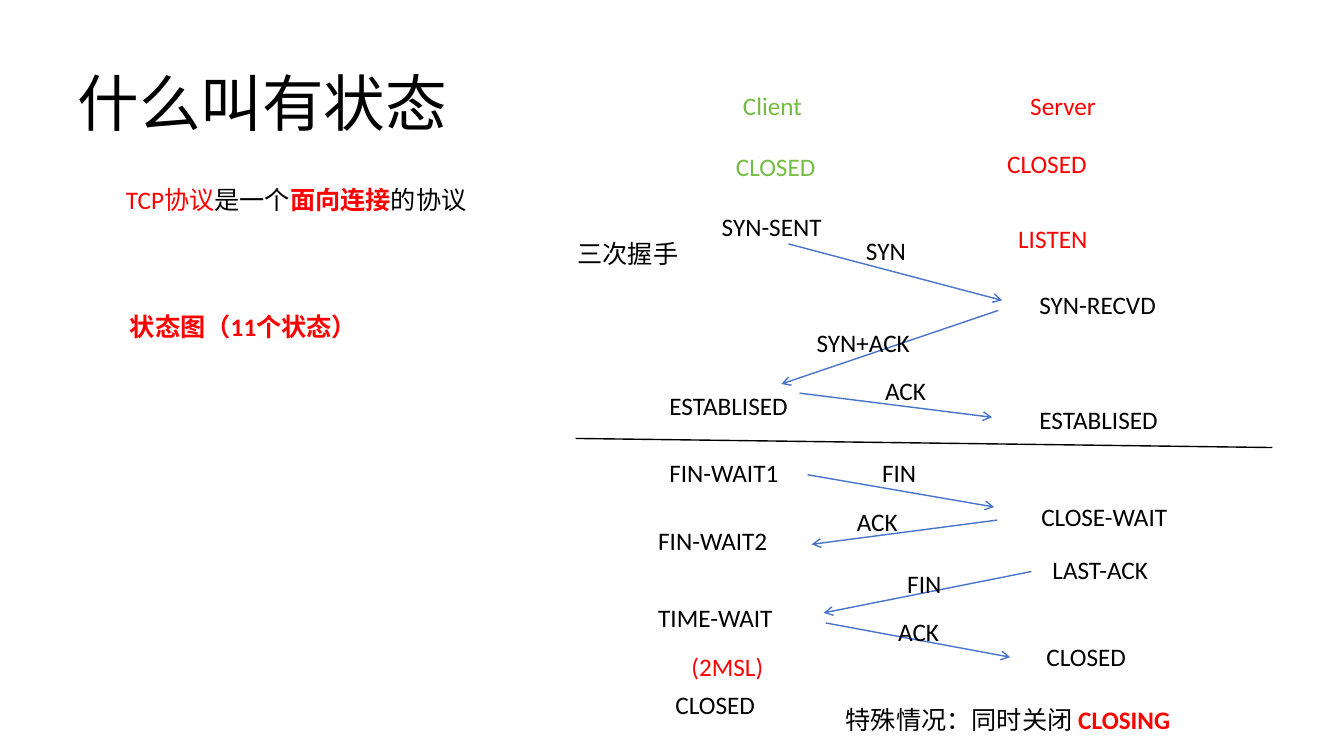
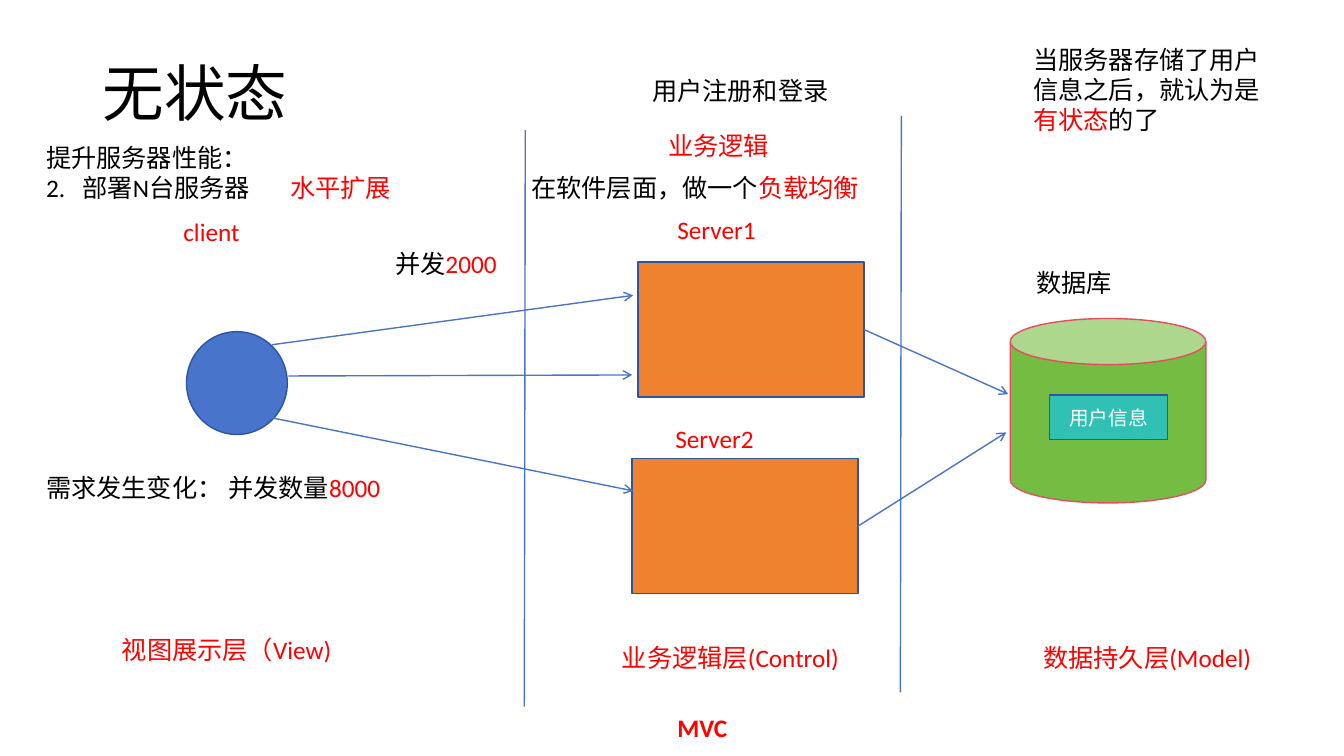
from dataclasses import dataclass

from lxml import etree
from pptx import Presentation
from pptx.dml.color import RGBColor
from pptx.enum.shapes import MSO_CONNECTOR, MSO_SHAPE
from pptx.enum.text import MSO_ANCHOR, MSO_AUTO_SIZE, PP_ALIGN
from pptx.oxml.ns import qn
from pptx.util import Inches, Pt

STRAIGHT = MSO_CONNECTOR.STRAIGHT
RECT, OVAL, CAN = MSO_SHAPE.RECTANGLE, MSO_SHAPE.OVAL, MSO_SHAPE.CAN
MIDDLE = MSO_ANCHOR.MIDDLE
GROW = MSO_AUTO_SIZE.SHAPE_TO_FIT_TEXT
CENTER = PP_ALIGN.CENTER
RIGHT_SIDE = 3


@dataclass(frozen=True)
class Theme:
    font: str = "Calibri"
    title_size: int = 44
    body_size: int = 18
    small_size: int = 14
    line_width: int = 1
    black: str = "000000"
    white: str = "FFFFFF"
    red: str = "FF0000"
    green: str = "75BD42"
    blue: str = "4874CB"
    navy: str = "2E54A1"
    orange: str = "EE822F"
    teal: str = "30C0B4"
    rose: str = "E54C5E"


T = Theme()


class Deck:
    def __init__(self):
        self.prs = Presentation()
        self.prs.slide_width, self.prs.slide_height = Inches(13.33), Inches(7.5)
        self.s = None

    def slide(self):
        self.s = self.prs.slides.add_slide(self.prs.slide_layouts[6])

    def add_runs(self, p, runs, size=T.body_size, color=T.black):
        """Each run is a string, or a tuple of text, colour and bold."""
        for run in runs:
            text, run_color, bold = run if isinstance(run, tuple) else (run, color, False)
            r = p.add_run()
            r.text = text
            values = {"name": T.font, "size": Pt(size), "bold": bold}
            for key, value in values.items():
                setattr(r.font, key, value)
            r.font.color.rgb = RGBColor.from_string(run_color)

    def box(self, x, y, w, h, **frame):
        sp = self.s.shapes.add_textbox(*map(Inches, (x, y, w, h)))
        tf = sp.text_frame
        for key, value in {"word_wrap": True, **frame}.items():
            setattr(tf, key, value)
        return tf

    def title(self, x, y, w, h, text):
        p = self.box(x, y, w, h, vertical_anchor=MIDDLE).paragraphs[0]
        p.line_spacing = 0.9
        self.add_runs(p, [text], T.title_size)

    def text(self, x, y, w, *runs, h=0.4, color=T.black):
        tf = self.box(x, y, w, h, auto_size=GROW)
        self.add_runs(tf.paragraphs[0], runs, color=color)
        return tf

    def labels(self, color, *rows):
        for x, y, w, text in rows:
            self.text(x, y, w, text, color=color)

    def tabs(self, p, *stops):
        tab_list = etree.SubElement(p._p.get_or_add_pPr(), qn("a:tabLst"))
        for stop in stops:
            etree.SubElement(tab_list, qn("a:tab"), pos=str(Inches(stop)), algn="l")

    def shape(self, kind, x, y, w, h, fill, line=T.navy, text=None):
        sp = self.s.shapes.add_shape(kind, *map(Inches, (x, y, w, h)))
        sp.shadow.inherit = False
        sp.fill.solid()
        sp.fill.fore_color.rgb = RGBColor.from_string(fill)
        sp.line.color.rgb = RGBColor.from_string(line)
        sp.line.width = Pt(T.line_width)
        if text:
            sp.text_frame.vertical_anchor = MIDDLE
            p = sp.text_frame.paragraphs[0]
            p.alignment = CENTER
            self.add_runs(p, [text], T.small_size, T.white)
        return sp

    def line(self, x1, y1, x2, y2, color=T.blue, arrow=False):
        cx = self.s.shapes.add_connector(STRAIGHT, *map(Inches, (x1, y1, x2, y2)))
        cx.line.color.rgb = RGBColor.from_string(color)
        cx.line.width = Pt(T.line_width)
        sp_pr = cx._element.spPr
        if arrow:
            etree.SubElement(sp_pr.get_or_add_ln(), qn("a:tailEnd"), type="arrow")
        etree.SubElement(sp_pr, qn("a:effectLst"))
        return cx

    def arrows(self, *ends):
        for end in ends:
            self.line(*end, arrow=True)


def stateful(d):
    d.slide()
    d.title(0.67, 0.67, 12, 0.77, "什么叫有状态")
    d.text(1.15, 1.78, 4.71, ("TCP协议", T.red, False), "是一个",
           ("面向连接", T.red, True), "的协议")
    d.text(1.19, 3.04, 2.98, ("状态图（11个状态）", T.red, True))

    d.arrows(
        (7.82, 2.42, 9.94, 2.98), (9.9, 3.08, 7.75, 3.81), (7.93, 3.9, 9.84, 4.14),
        (8.01, 4.71, 9.86, 5.03), (9.89, 5.16, 8.05, 5.4),
        (10.23, 5.67, 8.17, 6.08), (8.19, 6.18, 10.02, 6.52),
    )
    d.labels(T.green, (7.27, 0.85, 1.46, "Client"), (7.2, 1.45, 1.82, "CLOSED"))
    d.labels(
        T.red,
        (10.12, 0.85, 2.1, "Server"),
        (9.89, 1.42, 2.12, "CLOSED"),
        (10, 2.17, 1.11, "LISTEN"),
        (6.76, 6.41, 1.02, "(2MSL)"),
    )
    client_states = (
        (7.06, 2.05, 1.63, "SYN-SENT"),
        (6.54, 3.82, 1.89, "ESTABLISED"),
        (6.54, 4.49, 1.77, "FIN-WAIT1"),
        (6.43, 5.16, 1.47, "FIN-WAIT2"),
        (6.43, 5.93, 1.64, "TIME-WAIT"),
        (6.6, 6.79, 1.41, "CLOSED"),
    )
    server_states = (
        (10.21, 2.82, 2.09, "SYN-RECVD"),
        (10.21, 3.96, 1.89, "ESTABLISED"),
        (10.23, 4.92, 2.23, "CLOSE-WAIT"),
        (10.34, 5.45, 1.77, "LAST-ACK"),
        (10.28, 6.31, 1.79, "CLOSED"),
    )
    messages = (
        (8.49, 2.29, 0.91, "SYN"),
        (8, 3.2, 1.48, "SYN+ACK"),
        (8.68, 3.67, 0.85, "ACK"),
        (8.65, 4.49, 0.88, "FIN"),
        (8.4, 4.97, 0.8, "ACK"),
        (8.9, 5.59, 1.1, "FIN"),
        (8.81, 6.07, 1.13, "ACK"),
    )
    d.labels(T.black, (5.63, 2.32, 1.28, "三次握手"),
             *client_states, *server_states, *messages)
    d.text(8.29, 6.94, 4.3, "特殊情况：同时关闭 ", ("CLOSING", T.red, True))
    d.line(5.71, 4.35, 12.62, 4.44, T.black)


def stateless(d):
    d.slide()
    d.title(0.92, 0.23, 11.5, 1.45, "无状态")
    d.shape(CAN, 10.02, 3.16, 1.94, 1.83, T.green, T.rose)
    d.shape(RECT, 10.41, 3.92, 1.17, 0.44, T.teal, text="用户信息")
    d.shape(OVAL, 1.85, 3.29, 1, 1.02, T.blue)
    server1, server2 = (d.shape(RECT, x, y, 2.24, 1.34, T.orange)
                        for x, y in ((6.33, 2.6), (6.27, 4.55)))

    d.line(8.94, 1.15, 8.93, 6.87)
    d.line(5.21, 1.29, 5.2, 7.01)
    d.arrows((2.7, 3.42, 6.28, 2.93), (2.86, 3.73, 6.27, 3.72), (2.67, 4.14, 6.28, 4.87))
    for server, ends in ((server1, (8.57, 3.27, 10, 3.91)),
                         (server2, (8.51, 5.22, 9.98, 4.29))):
        d.line(*ends, arrow=True).begin_connect(server, RIGHT_SIDE)

    d.labels(
        T.red,
        (1.72, 2.1, 2.18, "client"),
        (6.62, 2.08, 1.18, "Server1"),
        (6.6, 4.15, 2.03, "Server2"),
        (6.53, 1.24, 1.85, "业务逻辑"),
        (1.11, 6.24, 3.49, "视图展示层（View)"),
        (6.07, 6.32, 2.87, "业务逻辑层(Control)"),
        (10.25, 6.32, 2.26, "数据持久层(Model)"),
    )
    d.labels(T.black, (6.37, 0.7, 2.07, "用户注册和登录"), (10.18, 2.6, 2.11, "数据库"))
    d.text(6.62, 7.02, 1.23, ("MVC", T.red, True))
    d.text(10.15, 0.39, 2.59, "当服务器存储了用户信息之后，就认为是",
           ("有状态", T.red, False), "的了", h=1.01)
    d.text(3.82, 2.41, 1.61, "并发", ("2000", T.red, False))
    d.text(0.36, 4.64, 4.97, "需求发生变化： 并发数量", ("8000", T.red, False))
    d.text(5.17, 1.66, 3.59, "在软件层面，做一个", ("负载均衡", T.red, False))

    p = d.text(0.36, 1.36, 10.3, "提升服务器性能：", h=0.71).add_paragraph()
    d.tabs(p, 0.36, 2.42)
    d.add_runs(p, ["2.\t部署N台服务器\t", ("水平扩展", T.red, False)])


def main():
    d = Deck()
    stateful(d)
    stateless(d)
    d.prs.save("out.pptx")


if __name__ == "__main__":
    main()
